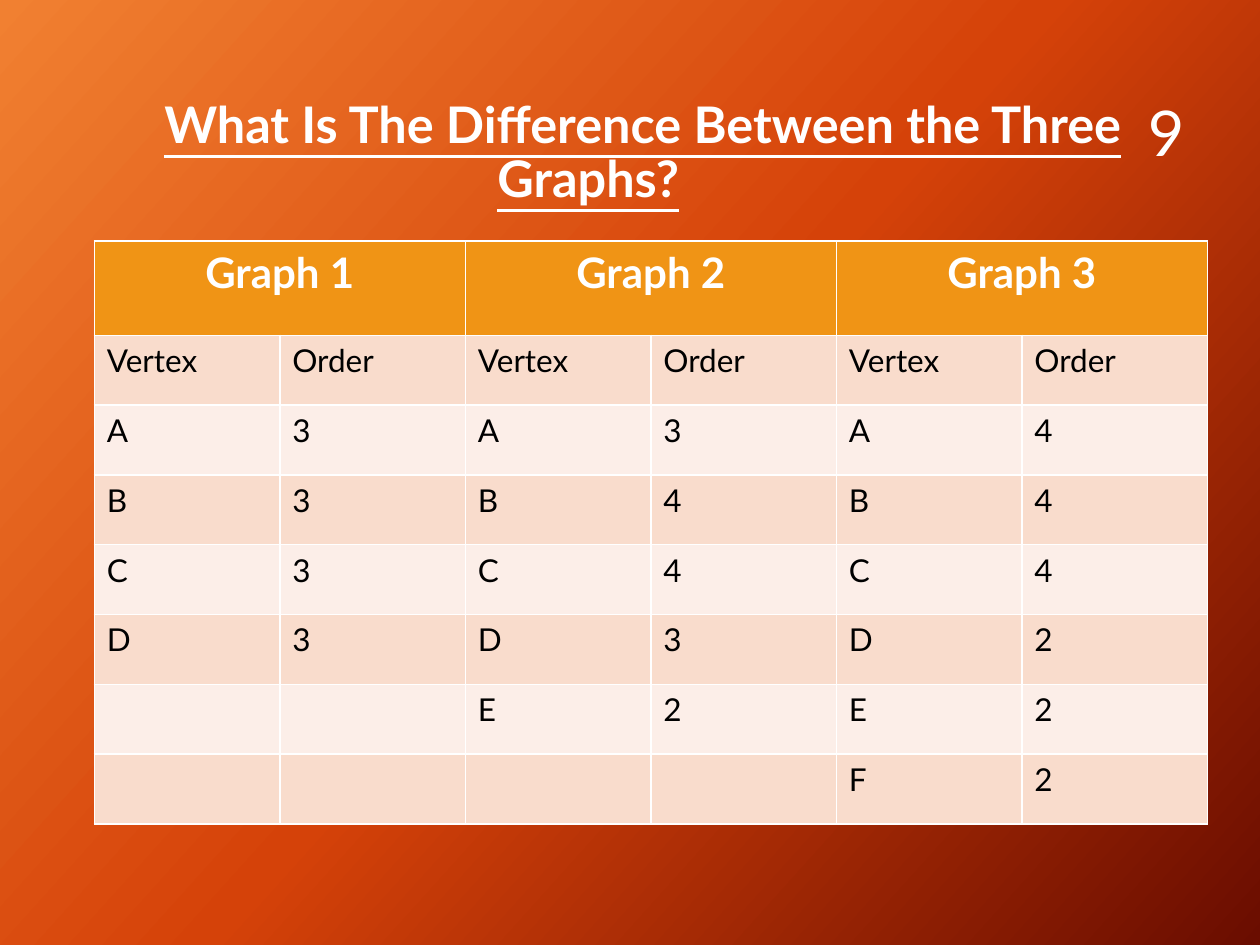
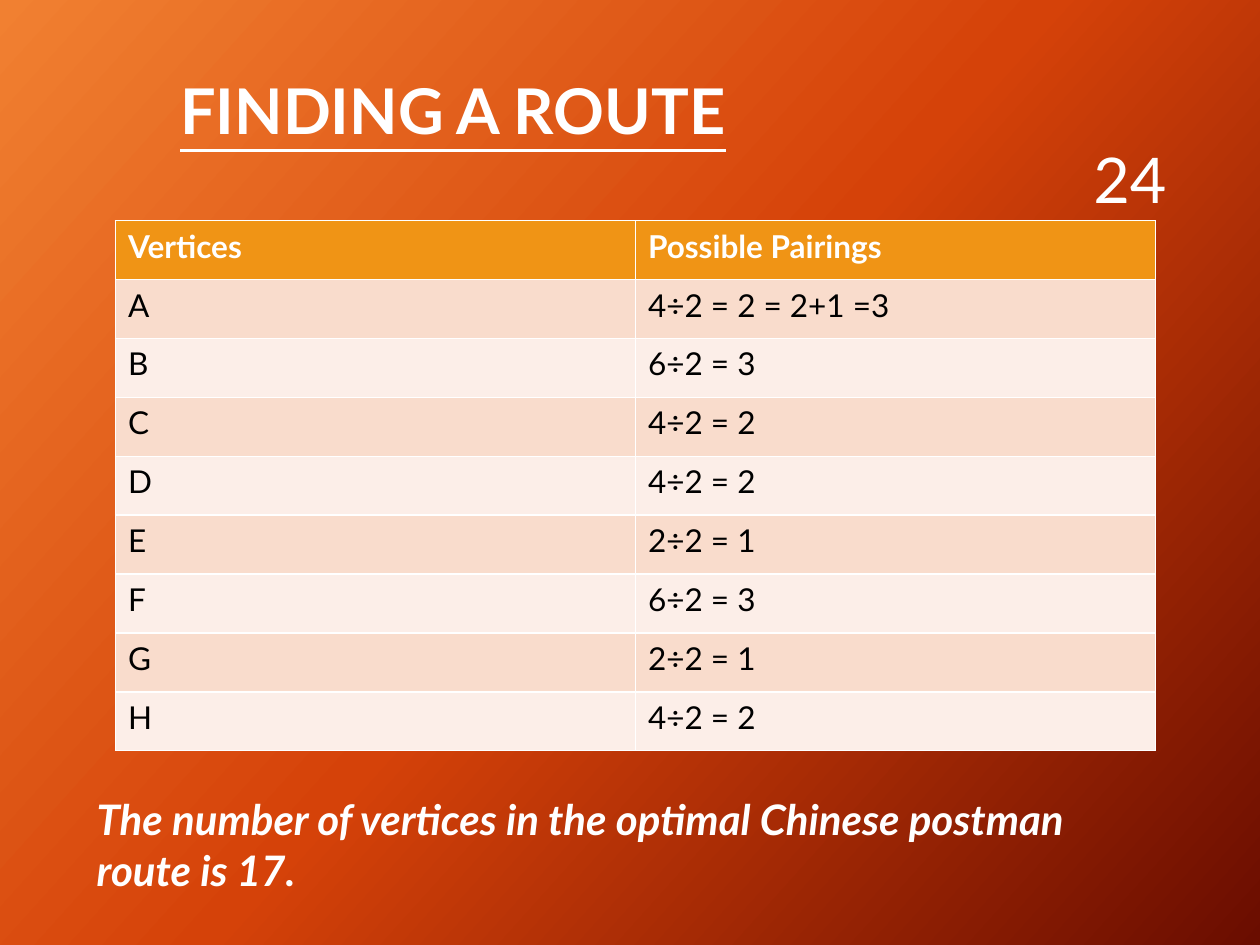
from copy import deepcopy

from lxml import etree
from pptx import Presentation
from pptx import util as u
from pptx.dml.color import RGBColor
from pptx.enum import text
from pptx.oxml.ns import qn

# ---- Content ----
GRAPHS = {
    "Graph 1": [("A", 3), ("B", 3), ("C", 3), ("D", 3)],
    "Graph 2": [("A", 3), ("B", 4), ("C", 4), ("D", 3), ("E", 2)],
    "Graph 3": [("A", 4), ("B", 4), ("C", 4), ("D", 2), ("E", 2), ("F", 2)],
}
PAIRINGS = [
    ("Vertices", "Possible Pairings"),
    ("A", "4÷2 = 2 = 2+1 =3"),
    ("B", "6÷2 = 3"),
    ("C", "4÷2 = 2"),
    ("D", "4÷2 = 2"),
    ("E", "2÷2 = 1"),
    ("F", "6÷2 = 3"),
    ("G", "2÷2 = 1"),
    ("H", "4÷2 = 2"),
]
CONCLUSION = "The number of vertices in the optimal Chinese postman route is 17."

# ---- Shared style ----
FONT = "Lato"
COLOURS = {
    "light": "FFFFFF", "dark": "000000", "header": "F09415",
    "odd row": "F9DCCC", "even row": "FCEEE8",
}
GRADIENT = [(0, "F18031"), (0.5, "D54209"), (1, "6A0D00")]
GRADIENT_ANGLE = 42
LEFT, CENTRE = text.PP_ALIGN.LEFT, text.PP_ALIGN.CENTER


def colour(name):
    return RGBColor.from_string(COLOURS[name])


def add_run(paragraph, words, size, tint="light", bold=False, italic=False, underline=False):
    run = paragraph.add_run()
    run.text = words
    font = run.font
    font.name, font.size = FONT, u.Pt(size)
    font.bold, font.italic, font.underline = bold, italic, underline
    font.color.rgb = colour(tint)


def place(part, box):
    part.left, part.top, part.width, part.height = map(u.Cm, box)


def paint_background(master):
    fill = master.background.fill
    fill.gradient()
    fill.gradient_angle = 360 - GRADIENT_ANGLE
    stop_list = master.element.find(".//" + qn("a:gsLst"))
    stop_list.insert(1, deepcopy(stop_list[0]))
    for stop, (position, tint) in zip(fill.gradient_stops, GRADIENT):
        stop.position = position
        stop.color.rgb = RGBColor.from_string(tint)


def add_slide(deck, title, title_box, size, align, number, number_box, indent=0):
    slide = deck.slides.add_slide(deck.slide_layouts[5])
    heading = slide.shapes.title
    place(heading, title_box)
    frame = heading.text_frame
    frame.auto_size = text.MSO_AUTO_SIZE.NONE
    frame.vertical_anchor = text.MSO_ANCHOR.MIDDLE
    paragraph = frame.paragraphs[0]
    paragraph.alignment, paragraph.line_spacing = align, 0.9
    if indent:
        paragraph._p.get_or_add_pPr().set("indent", str(u.Cm(indent)))
    add_run(paragraph, title, size, bold=True, underline=True)
    add_text(slide, number, number_box, 36, anchor=text.MSO_ANCHOR.MIDDLE)
    return slide


def add_text(slide, words, box, size, anchor=text.MSO_ANCHOR.TOP, **style):
    frame = slide.shapes.add_textbox(*map(u.Cm, box)).text_frame
    frame.word_wrap = True
    frame.vertical_anchor = anchor
    add_run(frame.paragraphs[0], words, size, **style)


def add_borders(cell):
    properties = cell._tc.get_or_add_tcPr()
    for place_in_order, side in enumerate(("lnL", "lnR", "lnT", "lnB")):
        line = etree.Element(qn("a:" + side), w=str(u.Pt(1)))
        solid = etree.SubElement(line, qn("a:solidFill"))
        etree.SubElement(solid, qn("a:srgbClr"), val=COLOURS["light"])
        properties.insert(place_in_order, line)


def add_table(slide, rows, box, header_size=18, header_align=LEFT, header_height=None):
    left, top, width, height = box
    header_height = header_height or height / len(rows)
    body_height = (height - header_height) / (len(rows) - 1)
    table = slide.shapes.add_table(len(rows), len(rows[0]), *map(u.Cm, box)).table
    for column in table.columns:
        column.width = u.Cm(width / len(rows[0]))
    for r, row in enumerate(rows):
        is_header = r == 0
        table.rows[r].height = u.Cm(body_height if r else header_height)
        fill = "header" if is_header else "odd row" if r % 2 else "even row"
        for c, value in enumerate(row):
            cell = table.cell(r, c)
            cell.fill.solid()
            cell.fill.fore_color.rgb = colour(fill)
            add_borders(cell)
            if value == "":
                continue
            paragraph = cell.text_frame.paragraphs[0]
            paragraph.alignment = header_align if is_header else LEFT
            add_run(paragraph, str(value), header_size if is_header else 18,
                    "light" if is_header else "dark", bold=is_header)
    return table


def graph_rows():
    """Put the vertex lists side by side, two columns to a graph."""
    rows = [[], []]
    for name in GRAPHS:
        rows[0] += [name, ""]
        rows[1] += ["Vertex", "Order"]
    for i in range(max(map(len, GRAPHS.values()))):
        rows.append([value for orders in GRAPHS.values()
                     for value in (orders[i] if i < len(orders) else ("", ""))])
    return rows


def main():
    deck = Presentation()
    deck.slide_width, deck.slide_height = u.Cm(25.4), u.Cm(19.05)
    paint_background(deck.slide_master)

    # Comparison of the three graphs
    comparison = add_slide(
        deck, "What Is The Difference Between the Three Graphs?",
        (0.43, 1.52, 22.86, 3.18), 28.8, CENTRE,
        "9", (22.89, 1.55, 1.91, 2.21), indent=2.2)
    orders = add_table(comparison, graph_rows(), (1.9, 4.86, 22.44, 11.75),
                       header_size=24, header_align=CENTRE, header_height=1.9)
    for c in range(0, 2 * len(GRAPHS), 2):
        orders.cell(0, c).merge(orders.cell(0, c + 1))

    # Pairings along the route
    route = add_slide(
        deck, "FINDING A ROUTE", (3.38, 0.84, 21.54, 2.92), 36, LEFT,
        "24", (21.79, 2.08, 3.23, 3.02))
    add_table(route, PAIRINGS, (2.33, 4.45, 20.96, 10.69))
    add_text(route, CONCLUSION, (1.7, 15.88, 21.59, 3.07), 24, bold=True, italic=True)

    deck.save("out.pptx")


if __name__ == "__main__":
    main()
